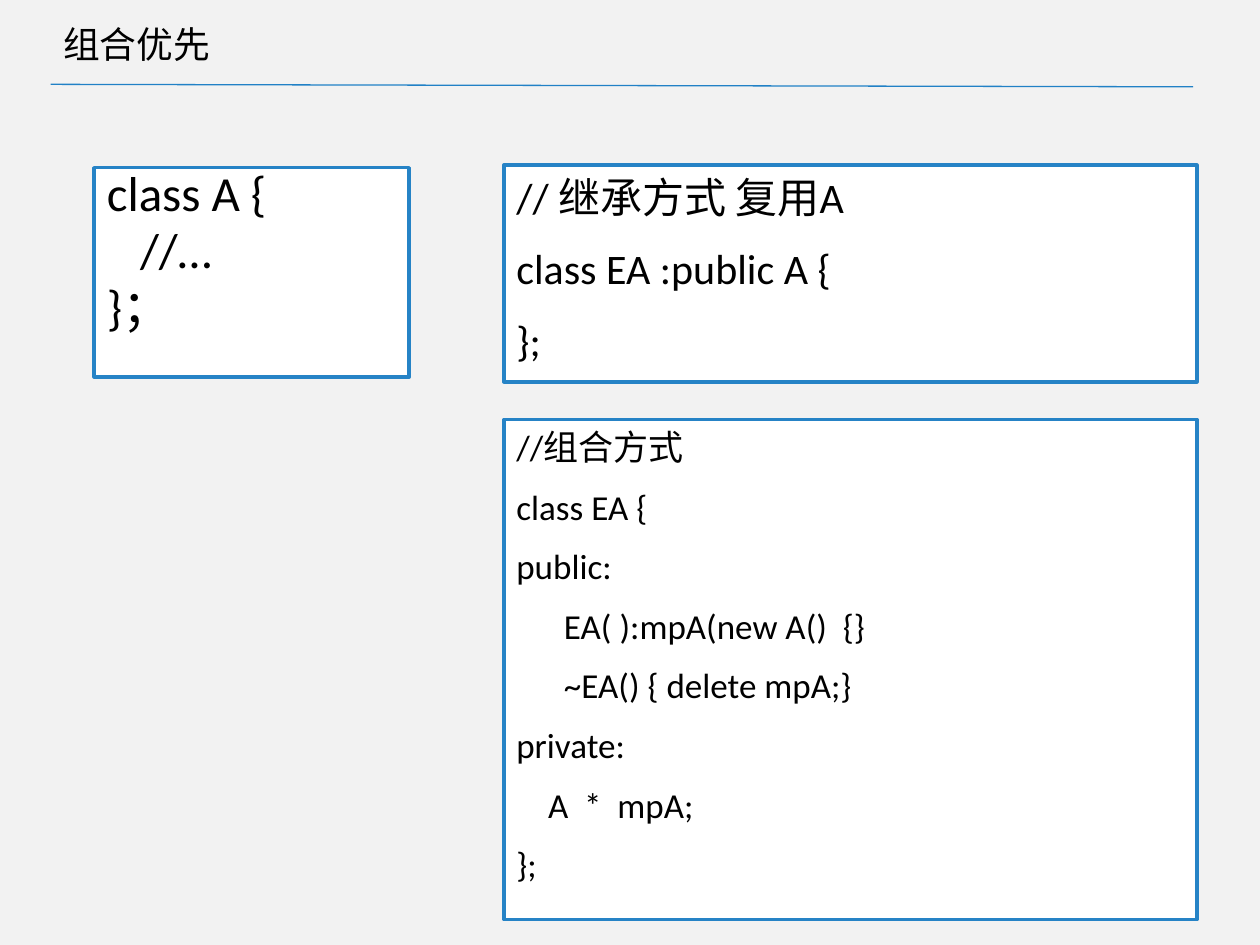
from lxml import etree
from pptx import Presentation
from pptx.dml.color import RGBColor
from pptx.enum.shapes import MSO_CONNECTOR, MSO_SHAPE
from pptx.enum.text import MSO_ANCHOR, MSO_AUTO_SIZE, PP_ALIGN
from pptx.oxml.ns import qn
from pptx.util import Cm, Pt

LINE, RECT = MSO_CONNECTOR.STRAIGHT, MSO_SHAPE.RECTANGLE
TOP, MIDDLE = MSO_ANCHOR.TOP, MSO_ANCHOR.MIDDLE
LEFT, FIXED = PP_ALIGN.LEFT, MSO_AUTO_SIZE.NONE
FONT = "Calibri"
COLORS = {"back": "F2F2F2", "box": "FFFFFF", "edge": "2683C6",
          "rule": "2181C6", "text": "000000"}

# Code lines: (indent in cm, text)
BASE = [(0, "class A {"), (0.67, "//…"), (0, "}；")]
INHERIT = [(0, "// 继承方式 复用A"), (0, "class EA :public A {"), (0, "};")]
COMPOSE = [(0, "//组合方式"), (0, "class EA {"), (0, "public:"),
           (0.96, "EA( ):mpA(new A()  {}"), (0.96, "~EA() { delete mpA;}"),
           (0, "private:"), (0.64, "A  *  mpA;"), (0, "};")]


def color(name):
    return RGBColor.from_string(COLORS[name])


def place(shape, box):
    shape.left, shape.top, shape.width, shape.height = (Cm(v) for v in box)


def write(shape, lines, size, gap=0, pitch=1.0, anchor=TOP):
    """Write indented lines; gap is the space before, as a share of size."""
    frame = shape.text_frame
    frame.word_wrap = True
    frame.auto_size = FIXED
    frame.vertical_anchor = anchor
    for i, (indent, text) in enumerate(lines):
        para = frame.paragraphs[0] if i == 0 else frame.add_paragraph()
        para.alignment = LEFT
        para.line_spacing = pitch
        para.space_before = Pt(size * gap)
        props = para._p.get_or_add_pPr()
        props.set("marL", str(Cm(indent)))
        props.set("indent", "0")
        etree.SubElement(props, qn("a:buNone"))
        run = para.add_run()
        run.text = text
        run.font.name = FONT
        run.font.size = Pt(size)
        run.font.color.rgb = color("text")


def head(slide, box):
    """Title with a thin rule below it."""
    x, y, w, h = box
    place(slide.shapes.title, (x, y, w - 1.13, h))
    write(slide.shapes.title, [(0, "组合优先")], 21, anchor=MIDDLE)
    rule = slide.shapes.add_connector(
        LINE, Cm(x), Cm(y + h + 0.15), Cm(x + w), Cm(y + h + 0.2))
    rule.line.color.rgb = color("rule")
    rule.line.width = Pt(0.75)
    etree.SubElement(rule._element.spPr, qn("a:effectLst"))


def panel(shape, box, lines, size, **form):
    """White framed box of code."""
    place(shape, box)
    shape.fill.solid()
    shape.fill.fore_color.rgb = color("box")
    shape.line.color.rgb = color("edge")
    shape.line.width = Pt(2)
    shape.shadow.inherit = False
    write(shape, lines, size, **form)


def reuse(slide, box):
    """Two stacked panels: inheritance above, composition below."""
    x, y, w, h = box
    low = 5.13
    parts = [(0, 4.37, INHERIT, 24), (low, h - low, COMPOSE, 20)]
    for top, high, lines, size in parts:
        area = (x, y + top, w, high)
        shape = slide.shapes.add_shape(RECT, *(Cm(v) for v in area))
        panel(shape, area, lines, size, gap=0.5)


def main():
    deck = Presentation()
    deck.slide_width, deck.slide_height = Cm(25.4), Cm(19.05)
    slide = deck.slides.add_slide(deck.slide_layouts[1])
    slide.background.fill.solid()
    slide.background.fill.fore_color.rgb = color("back")
    head(slide, (1.02, 0.2, 23.03, 1.35))
    panel(slide.placeholders[1], (1.9, 3.38, 6.35, 4.22), BASE, 28,
          gap=0.2, pitch=0.8)
    reuse(slide, (10.16, 3.33, 13.97, 15.21))
    deck.save("out.pptx")


if __name__ == "__main__":
    main()
